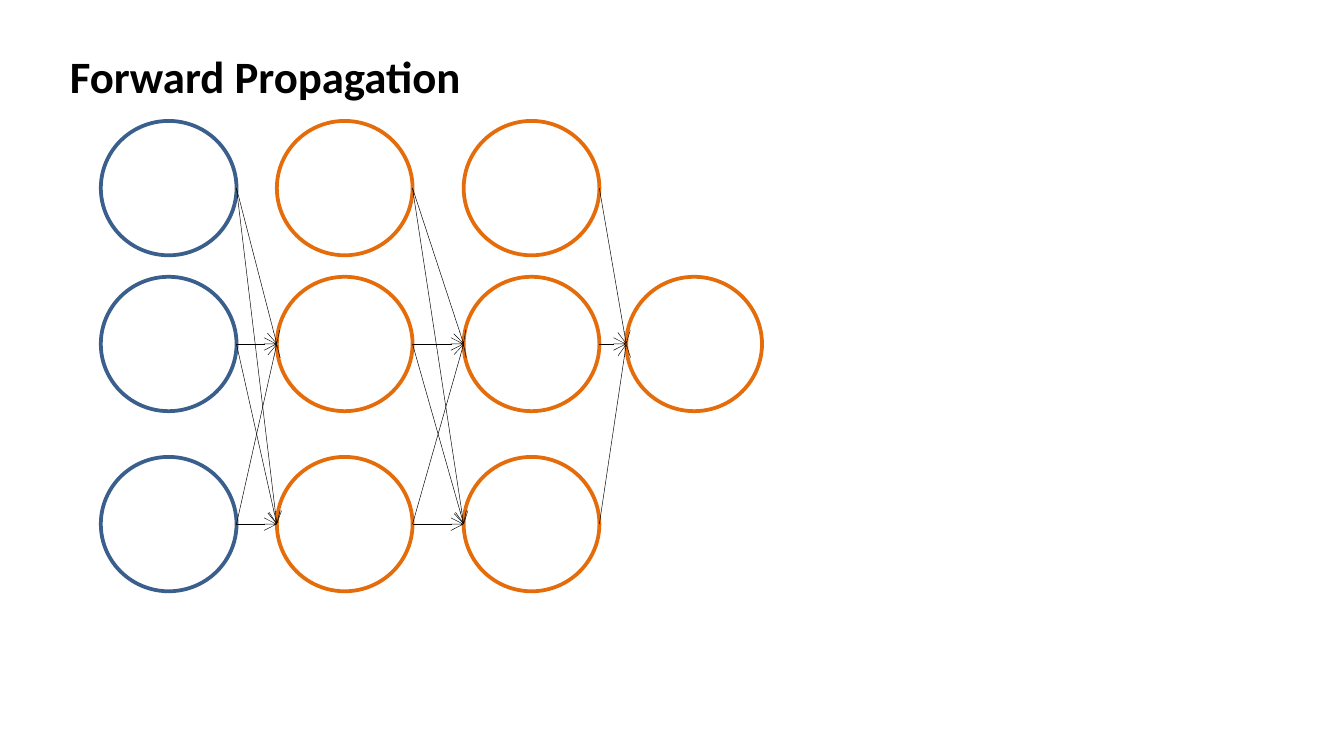
from dataclasses import dataclass
from itertools import product

import lxml.etree
import pptx
import pptx.dml.color
import pptx.enum.shapes
import pptx.enum.text
import pptx.oxml.ns
import pptx.presentation
import pptx.slide
import pptx.util

Pt = pptx.util.Pt
qn = pptx.oxml.ns.qn

# Lengths in points
NEURON_WIDTH = 72.7
NEURON_HEIGHT = 72
TOP_ROW, MIDDLE_ROW, BOTTOM_ROW = 64.8, 148.3, 244.8
ALL_ROWS = (TOP_ROW, MIDDLE_ROW, BOTTOM_ROW)

BLACK, WHITE, BLUE, ORANGE = "000000", "FFFFFF", "3A5F8C", "E46C0A"


@dataclass(frozen=True)
class Layer:
    left: float
    rows: tuple[float, ...]
    color: str
    receiving_rows: tuple[float, ...] = ()


LAYERS = (
    Layer(54, ALL_ROWS, BLUE),
    Layer(148.3, ALL_ROWS, ORANGE, (MIDDLE_ROW, BOTTOM_ROW)),
    Layer(248.4, ALL_ROWS, ORANGE, (MIDDLE_ROW, BOTTOM_ROW)),
    Layer(335.5, (MIDDLE_ROW,), ORANGE, (MIDDLE_ROW,)),
)


def rgb(color: str) -> pptx.dml.color.RGBColor:
    return pptx.dml.color.RGBColor.from_string(color)


def add_title(slide: pptx.slide.Slide, text: str) -> None:
    title = slide.shapes.title
    title.left, title.top = Pt(30.2), Pt(22.3)
    title.width, title.height = Pt(504), Pt(36)
    frame = title.text_frame
    frame.word_wrap = True
    frame.auto_size = pptx.enum.text.MSO_AUTO_SIZE.NONE
    frame.vertical_anchor = pptx.enum.text.MSO_ANCHOR.TOP
    paragraph = frame.paragraphs[0]
    paragraph.alignment = pptx.enum.text.PP_ALIGN.LEFT
    run = paragraph.add_run()
    run.text = text
    run.font.name = "Calibri"
    run.font.size = Pt(24)
    run.font.bold = True
    run.font.color.rgb = rgb(BLACK)


def add_neuron(slide: pptx.slide.Slide, left: float, top: float, color: str) -> None:
    shape = slide.shapes.add_shape(
        pptx.enum.shapes.MSO_SHAPE.OVAL,
        Pt(left), Pt(top), Pt(NEURON_WIDTH), Pt(NEURON_HEIGHT),
    )
    shape.shadow.inherit = False
    shape.fill.solid()
    shape.fill.fore_color.rgb = rgb(WHITE)
    shape.line.color.rgb = rgb(color)
    shape.line.width = Pt(2)


def add_arrow(slide: pptx.slide.Slide, source: Layer, source_row: float,
              target: Layer, target_row: float) -> None:
    connector = slide.shapes.add_connector(
        pptx.enum.shapes.MSO_CONNECTOR.STRAIGHT,
        Pt(source.left + NEURON_WIDTH), Pt(source_row + NEURON_HEIGHT / 2),
        Pt(target.left), Pt(target_row + NEURON_HEIGHT / 2),
    )
    connector.line.color.rgb = rgb(BLACK)
    connector.line.width = Pt(0.25)
    # Open arrowhead, no shadow
    line = connector.line._get_or_add_ln()
    lxml.etree.SubElement(line, qn("a:tailEnd"), type="arrow")
    lxml.etree.SubElement(connector._element.spPr, qn("a:effectLst"))


def build() -> pptx.presentation.Presentation:
    presentation = pptx.Presentation()
    presentation.slide_width, presentation.slide_height = Pt(720), Pt(405)
    slide = presentation.slides.add_slide(presentation.slide_layouts[5])
    add_title(slide, "Forward Propagation")

    # Neurons
    for layer in LAYERS:
        for row in layer.rows:
            add_neuron(slide, layer.left, row, layer.color)

    # Connections from each layer to the next
    for source, target in zip(LAYERS, LAYERS[1:]):
        for source_row, target_row in product(source.rows, target.receiving_rows):
            add_arrow(slide, source, source_row, target, target_row)
    return presentation


if __name__ == "__main__":
    build().save("out.pptx")
